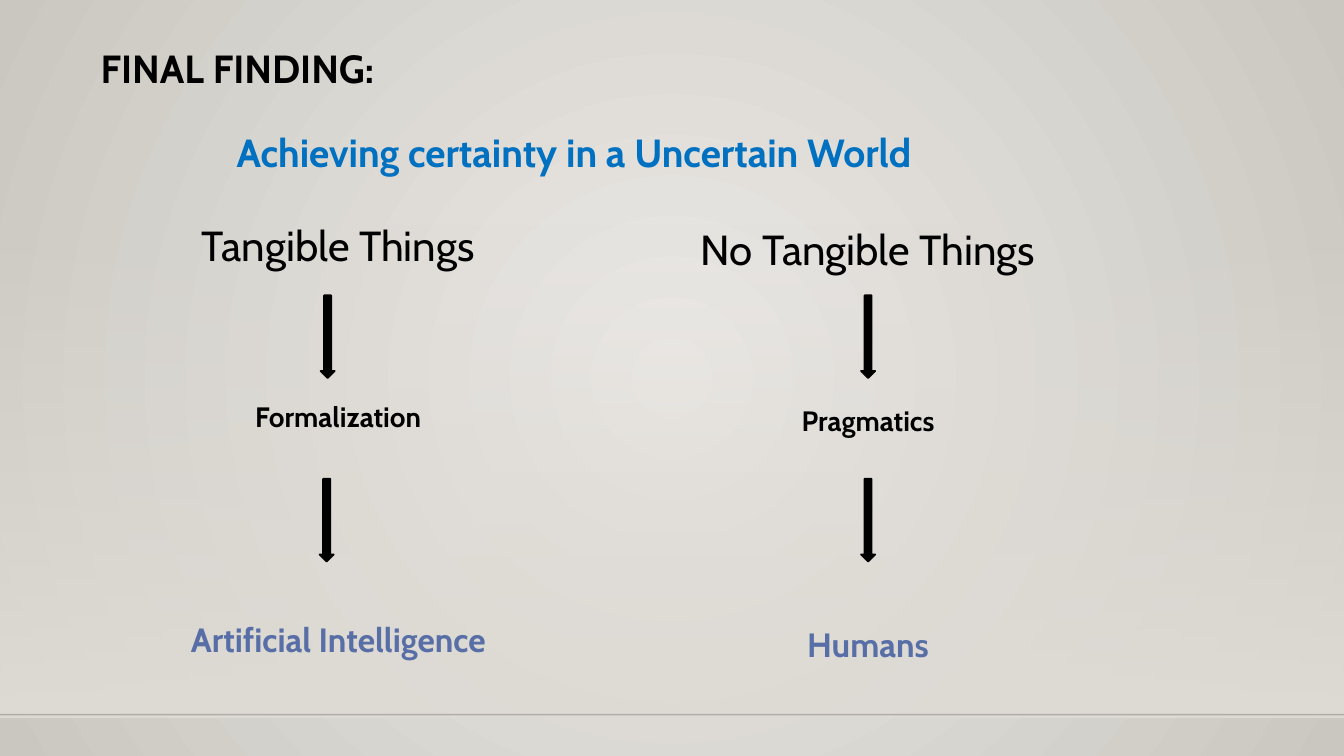
from lxml import etree
from pptx import Presentation
from pptx import util as u
from pptx.dml.color import RGBColor
from pptx.enum import shapes, text
from pptx.oxml.ns import qn

FONT = "Cabin"
COLORS = {
    "black": "000000",
    "blue": "0070C0",
    "slate": "586EA6",
    "center": "ECEAE7",
    "edge": "CAC7C1",
    "floor": "DFDBD5",
}


def rgb(name):
    return RGBColor.from_string(COLORS[name])


def set_alpha(color_el, percent):
    etree.SubElement(color_el, qn("a:alpha")).set("val", str(percent * 1000))


def set_gradient(fill, *names):
    fill.gradient()
    for stop, name, pos in zip(fill.gradient_stops, names, (0, 1)):
        stop.color.rgb = rgb(name)
        stop.position = pos


def add_background(slide, width, height):
    fill = slide.background.fill
    set_gradient(fill, "center", "edge")
    bg = slide._element.find(".//" + qn("p:bgPr"))
    lin = bg.find(".//" + qn("a:lin"))
    radial = etree.Element(qn("a:path"), attrib={"path": "circle"})
    etree.SubElement(radial, qn("a:fillToRect"),
                     attrib={side: "50000" for side in "ltrb"})
    lin.getparent().replace(lin, radial)

    floor = slide.shapes.add_shape(
        shapes.MSO_SHAPE.RECTANGLE, 0, u.Inches(2.21), width, u.Inches(4.91))
    floor.shadow.inherit = False
    floor.line.fill.background()
    set_gradient(floor.fill, "floor", "floor")
    floor.fill.gradient_angle = 270
    set_alpha(floor._element.find(".//" + qn("a:srgbClr")), 0)

    y = u.Inches(7.09)
    rule = slide.shapes.add_connector(
        shapes.MSO_CONNECTOR.STRAIGHT, 0, y, width, y)
    rule.line.color.rgb = rgb("black")
    rule.line.width = u.Pt(1)
    set_alpha(rule._element.find(".//" + qn("a:srgbClr")), 20)
    etree.SubElement(rule._element.spPr, qn("a:effectLst"))


def add_text(parent, left, top, width, height, rows, align, line_spacing):
    box = parent.add_textbox(*map(u.Inches, (left, top, width, height)))
    tf = box.text_frame
    tf.word_wrap = True
    tf.vertical_anchor = text.MSO_ANCHOR.TOP
    for i, (words, size, bold, color, before) in enumerate(rows):
        p = tf.paragraphs[0] if i == 0 else tf.add_paragraph()
        p.text = words
        p.alignment = align
        p.line_spacing = line_spacing
        p.space_before = u.Pt(before)
        p.font.name = FONT
        p.font.size = u.Pt(size)
        p.font.bold = bold
        p.font.color.rgb = rgb(color)
    return tf


def add_title(slide, left, top, width, height):
    rows = [
        ("FINAL FINDING:", 28, True, "black", 0),
        ("Achieving certainty in a Uncertain World", 28, True, "blue", 30),
    ]
    tf = add_text(slide.shapes, left, top, width, height, rows,
                  text.PP_ALIGN.LEFT, 0.9)
    pPr = tf.paragraphs[1]._p.get_or_add_pPr()
    pPr.set("marL", str(u.Inches(1.35)))
    pPr.set("indent", "0")


def add_flow(slide, left, top, width, height, labels, arrow_lefts):
    group = slide.shapes.add_group_shape().shapes
    styles = [(30, False, "black", 0), (20, True, "black", 88),
              (24, True, "slate", 127)]
    rows = [(label, *style) for label, style in zip(labels, styles)]
    add_text(group, left, top, width, height, rows,
             text.PP_ALIGN.CENTER, 1.2)
    for offset, y in zip(arrow_lefts, (2.93, 4.75)):
        arrow = group.add_shape(
            shapes.MSO_SHAPE.DOWN_ARROW,
            *map(u.Inches, (left + offset, y, 0.14, 0.82)))
        arrow.shadow.inherit = False
        arrow.fill.solid()
        arrow.fill.fore_color.rgb = rgb("black")
        arrow.line.color.rgb = rgb("black")
        arrow.line.width = u.Pt(1.25)


def main():
    prs = Presentation()
    prs.slide_width = u.Inches(13.33)
    prs.slide_height = u.Inches(7.5)
    slide = prs.slides.add_slide(prs.slide_layouts[6])
    add_background(slide, prs.slide_width, prs.slide_height)
    add_title(slide, 0.9, 0.44, 10.5, 1.49)
    add_flow(slide, 1.59, 2.03, 3.53, 4.64,
             ("Tangible Things", "Formalization", "Artificial Intelligence"),
             (1.59, 1.58))
    add_flow(slide, 6.56, 2.07, 4.1, 4.64,
             ("No Tangible Things", "Pragmatics", "Humans"),
             (1.98, 1.98))
    prs.save("out.pptx")


if __name__ == "__main__":
    main()
